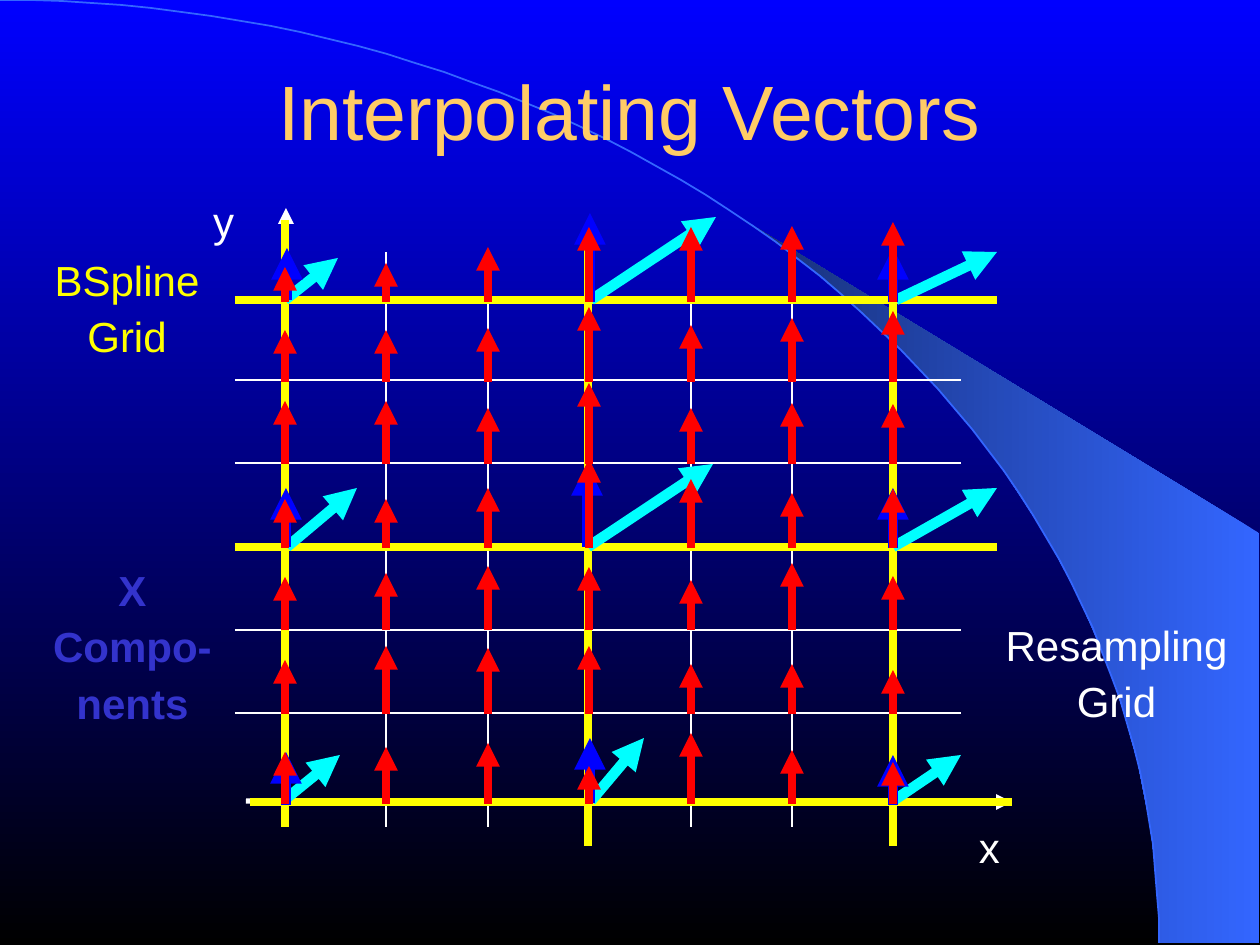
import math

from lxml import etree
from pptx import Presentation
from pptx import util as u
from pptx.dml.color import RGBColor
from pptx.enum import shapes, text
from pptx.oxml import ns

SCALE = 914400 / 126

WHITE = RGBColor(0xFF, 0xFF, 0xFF)
BLACK = RGBColor(0x00, 0x00, 0x00)
BLUE = RGBColor(0x00, 0x00, 0xFF)
YELLOW = RGBColor(0xFF, 0xFF, 0x00)
CYAN = RGBColor(0x00, 0xFF, 0xFF)
RED = RGBColor(0xFF, 0x00, 0x00)
GOLD = RGBColor(0xFF, 0xCC, 0x66)
INDIGO = RGBColor(0x33, 0x33, 0xCC)
SKY = RGBColor(0x33, 0x66, 0xFF)
NAVY = RGBColor(0x17, 0x2F, 0x75)

COLUMNS = [round(285 + 101.4 * i) for i in range(7)]
THIN_ROWS = [297, 380, 463, 547, 630, 713]
SPLINE_COLUMNS = [(285, 220, 827), (588, 239, 846), (893, 239, 846)]
SPLINE_ROWS = [(300, 235, 997), (547, 235, 997), (802, 250, 1012)]

CYAN_VECTORS = [
    (588, 547, 713, 464), (893, 547, 997, 488), (591, 300, 716, 217),
    (591, 801, 644, 738), (893, 801, 961, 755), (896, 300, 997, 252),
    (287, 547, 357, 488), (287, 798, 340, 755), (285, 300, 338, 258),
]
X_COMPONENTS = [
    (590, 302, 213), (893, 302, 248), (287, 300, 248),
    (587, 547, 464), (893, 548, 488), (286, 547, 488),
    (590, 803, 738), (893, 805, 755), (286, 805, 752),
]
RESAMPLED_TIPS = {
    302: [267, 263, 247, 227, 227, 226, 222],
    382: [330, 330, 328, 307, 325, 318, 311],
    464: [401, 401, 408, 383, 408, 403, 404],
    548: [499, 499, 488, 459, 479, 493, 489],
    630: [577, 573, 566, 567, 580, 563, 576],
    714: [660, 646, 648, 646, 664, 664, 670],
    804: [752, 747, 743, 766, 733, 750, 762],
}
LABELS = [
    (200, 199, 47, 53, ["y"], WHITE, 0.8, False),
    (966, 825, 47, 53, ["x"], WHITE, 0.8, False),
    (30, 266, 194, 100, ["BSpline", "Grid"], YELLOW, 0.6, False),
    (992, 631, 249, 100, ["Resampling", "Grid"], WHITE, 0.6, False),
    (8, 576, 249, 156, ["X", "Compo-", "nents"], INDIGO, 0.6, True),
]


def px(n):
    return u.Emu(round(n * SCALE))


def set_attrs(target, values):
    for name, value in values.items():
        setattr(target, name, value)


def set_gradient(fill, angle, colors):
    fill.gradient()
    fill.gradient_angle = angle
    for stop, position, color in zip(fill.gradient_stops, (0, 1), colors):
        stop.position = position
        stop.color.rgb = color


def add_line(s, x1, y1, x2, y2, color, width, arrow=False):
    line = s.shapes.add_connector(
        shapes.MSO_CONNECTOR.STRAIGHT, px(x1), px(y1), px(x2), px(y2))
    line.line.color.rgb = color
    line.line.width = u.Pt(width)
    if arrow:
        ln = line.line._get_or_add_ln()
        etree.SubElement(ln, ns.qn("a:tailEnd"), type="triangle")
    etree.SubElement(line._element.spPr, ns.qn("a:effectLst"))


def add_text(s, x, y, w, h, lines, color, size, spacing=1.0, bold=False,
             frame=None):
    tf = s.shapes.add_textbox(px(x), px(y), px(w), px(h)).text_frame
    set_attrs(tf, {"word_wrap": True, **(frame or {})})
    for i, content in enumerate(lines):
        p = tf.paragraphs[0] if i == 0 else tf.add_paragraph()
        set_attrs(p, {"alignment": text.PP_ALIGN.CENTER,
                      "line_spacing": spacing})
        if i:
            p.space_before = u.Pt(15)
        r = p.add_run()
        r.text = content
        set_attrs(r.font, {"name": "Arial", "size": u.Pt(size), "bold": bold})
        r.font.color.rgb = color


def arc_points(start, end, steps):
    angles = [math.radians(start + (end - start) * i / steps)
              for i in range(steps + 1)]
    return [(1159 * math.sin(a), 943 - 943 * math.cos(a)) for a in angles]


def add_outline(s, points, close):
    builder = s.shapes.build_freeform(*points[0], scale=SCALE)
    builder.add_line_segments(points[1:], close=close)
    sp = builder.convert_to_shape()
    sp.shadow.inherit = False
    return sp


def add_backdrop(s):
    set_gradient(s.background.fill, 270, (BLUE, BLACK))
    corners = [(1159, 943), (1259, 943), (1259, 533)]
    wedge = add_outline(s, corners + arc_points(39.8, 90, 32), True)
    set_gradient(wedge.fill, 180, (SKY, NAVY))
    wedge.line.fill.background()
    arc = add_outline(s, arc_points(0, 90, 60), False)
    arc.fill.background()
    arc.line.color.rgb = SKY
    arc.line.width = u.Pt(1)


def add_grids(s):
    add_line(s, 285, 825, 286, 208, WHITE, 3, True)
    add_line(s, 246, 801, 1012, 802, WHITE, 3, True)
    for y in THIN_ROWS:
        add_line(s, 235, y, 961, y, WHITE, 1)
    for x in COLUMNS[1:]:
        add_line(s, x, 252, x, 827, WHITE, 1)
    for x, top, bottom in SPLINE_COLUMNS:
        add_line(s, x, top, x, bottom, YELLOW, 4.5)
    for y, left, right in SPLINE_ROWS:
        add_line(s, left, y, right, y, YELLOW, 4.5)


def add_vectors(s):
    for vector in CYAN_VECTORS:
        add_line(s, *vector, CYAN, 6, True)
    for x, base, tip in X_COMPONENTS:
        add_line(s, x, base, x, tip, BLUE, 6, True)
    for base, tips in RESAMPLED_TIPS.items():
        for x, tip in zip(COLUMNS, tips):
            add_line(s, x, base, x, tip, RED, 4.5, True)


def main():
    prs = Presentation()
    prs.slide_width, prs.slide_height = px(1260), px(945)
    s = prs.slides.add_slide(prs.slide_layouts[6])
    add_backdrop(s)
    title_frame = dict.fromkeys(
        ("margin_left", "margin_right", "margin_top", "margin_bottom"), 0)
    title_frame["vertical_anchor"] = text.MSO_ANCHOR.MIDDLE
    add_text(s, 94, 15, 1071, 190, ["Interpolating Vectors"], GOLD, 44,
             frame=title_frame)
    add_grids(s)
    add_vectors(s)
    for x, y, w, h, lines, color, spacing, bold in LABELS:
        add_text(s, x, y, w, h, lines, color, 24, spacing, bold,
                 {"auto_size": text.MSO_AUTO_SIZE.SHAPE_TO_FIT_TEXT})
    prs.save("out.pptx")


if __name__ == "__main__":
    main()
